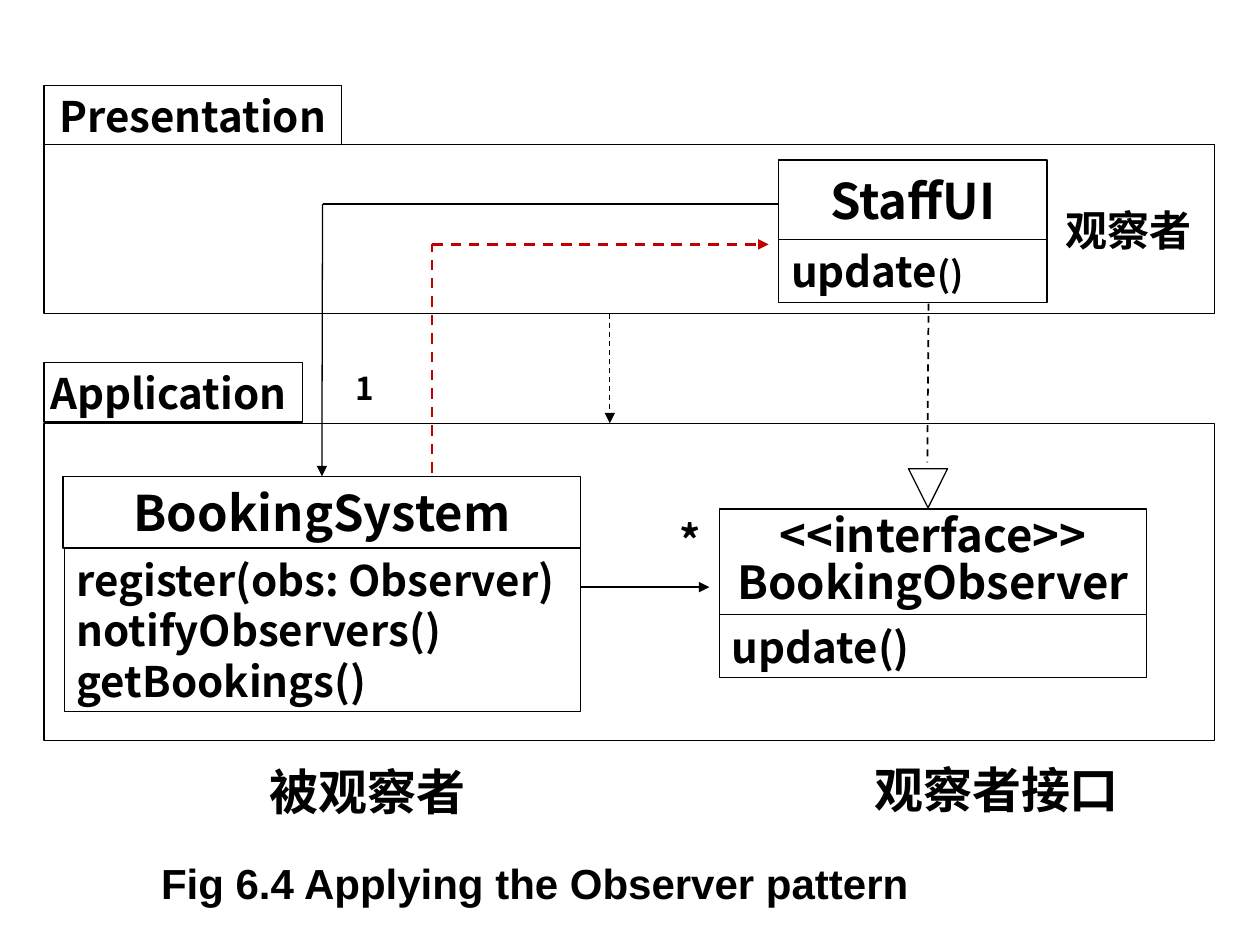
from dataclasses import dataclass
from typing import Optional

from lxml import etree
from pptx import Presentation
from pptx.dml.color import RGBColor
from pptx.enum.dml import MSO_LINE
from pptx.enum.shapes import MSO_CONNECTOR, MSO_SHAPE
from pptx.enum.text import MSO_ANCHOR, PP_ALIGN
from pptx.oxml.ns import qn
from pptx.util import Inches, Pt

RECT = MSO_SHAPE.RECTANGLE
CONE = MSO_SHAPE.ISOSCELES_TRIANGLE
LINE = MSO_CONNECTOR.STRAIGHT
DASH = MSO_LINE.DASH
LEFT, MID = PP_ALIGN.LEFT, PP_ALIGN.CENTER
TOP, CORE = MSO_ANCHOR.TOP, MSO_ANCHOR.MIDDLE
SANS, ARIAL = "Noto Sans CJK SC", "Arial"
BLACK, WHITE, RED = "000000", "FFFFFF", "C00000"


@dataclass
class Box:
    at: tuple
    rows: tuple = ()
    size: float = 24
    align: int = MID
    anchor: int = CORE
    edge: bool = True
    wrap: bool = True
    inset: bool = True
    lead: Optional[float] = None
    tail: str = ""


@dataclass
class Link:
    start: tuple
    end: tuple
    head: bool = False
    dash: bool = False
    color: str = BLACK
    width: float = 0.75


PACKS = [
    Box((0.35, 1.15, 9.29, 1.34)),
    Box((0.35, 0.68, 2.36, 0.47), ("Presentation",), wrap=False),
    Box((0.35, 3.36, 9.29, 2.52)),
    Box((0.35, 2.88, 2.05, 0.47), ("Application ",), wrap=False),
    Box((5.71, 4.04, 3.39, 0.84), ("<<interface>>", "BookingObserver"), 26, lead=0.85),
    Box((5.71, 4.88, 3.39, 0.5), ("update()",), align=LEFT, anchor=TOP),
]
CALL = Link((2.56, 1.62), (2.56, 3.78), head=True)
LINKS = [
    Link((2.56, 1.62), (6.34, 1.62)),
    Link((4.84, 2.49), (4.84, 3.36), head=True, dash=True),
    Link((7.37, 2.41), (7.36, 3.67), dash=True, width=1),
    Link((3.98, 4.66), (5.63, 4.66), head=True),
]
LABELS = [
    Box((2.72, 2.88, 0.39, 0.4), ("1",), 18, LEFT, TOP, edge=False),
    Box((5.39, 4.08, 0.16, 0.4), ("*",), 24, LEFT, TOP, edge=False, inset=False),
    Box((6.73, 6.03, 2.36, 0.47), ("观察者接口",), 28, MID, TOP, edge=False, inset=False),
    Box((8.46, 1.62, 1.02, 0.4), ("观察者",), 24, LEFT, TOP, edge=False, inset=False),
    Box((1.93, 6.04, 1.97, 0.47), ("被观察者",), 28, MID, TOP, edge=False, inset=False),
]
SYSTEM = Box((0.5, 3.78, 4.11, 0.57), ("BookingSystem",), 28)
METHODS = ("register(obs: Observer)", "notifyObservers()", "getBookings()")
PARTS = [
    Box((0.51, 4.35, 4.1, 1.3), METHODS, align=LEFT),
    Box((6.18, 1.27, 2.13, 0.63), ("StaffUI",), 28, wrap=False),
    Box((6.18, 1.9, 2.13, 0.5), ("update",), align=LEFT, anchor=TOP, tail="()"),
]
NOTICES = [
    Link((3.43, 3.75), (3.43, 1.94), dash=True, color=RED, width=1.5),
    Link((3.43, 1.94), (6.1, 1.94), head=True, dash=True, color=RED, width=1.5),
]


def tint(code: str) -> RGBColor:
    return RGBColor.from_string(code)


def add_run(para, text: str, size: float, face: str = SANS) -> None:
    run = para.add_run()
    run.text = text
    font = run.font
    font.name, font.size, font.bold = face, Pt(size), True
    font.color.rgb = tint(BLACK)
    east = etree.SubElement(font._element, qn("a:ea"))
    east.set("typeface", face)


def set_frame(frame, inset: bool, wrap: bool, anchor) -> None:
    frame.word_wrap = wrap
    frame.vertical_anchor = anchor
    frame.margin_left = frame.margin_right = Inches(0.1 if inset else 0)
    frame.margin_top = frame.margin_bottom = Inches(0.05 if inset else 0)


def add_shape(slide, kind, at: tuple, edge: bool = True):
    shape = slide.shapes.add_shape(kind, *map(Inches, at))
    shape.shadow.inherit = False
    shape.fill.solid()
    shape.fill.fore_color.rgb = tint(WHITE)
    if edge:
        shape.line.color.rgb = tint(BLACK)
        shape.line.width = Pt(0.75)
    else:
        shape.line.fill.background()
    return shape


def add_box(slide, box: Box):
    shape = add_shape(slide, RECT, box.at, box.edge)
    frame = shape.text_frame
    set_frame(frame, box.inset, box.wrap, box.anchor)
    for i, row in enumerate(box.rows):
        para = frame.add_paragraph() if i else frame.paragraphs[0]
        para.alignment = box.align
        if box.lead:
            para.line_spacing = box.lead
        add_run(para, row, box.size)
        if box.tail:
            add_run(para, box.tail, 20)
    return shape


def add_link(slide, link: Link):
    ends = map(Inches, link.start + link.end)
    wire = slide.shapes.add_connector(LINE, *ends)
    wire.line.color.rgb = tint(link.color)
    wire.line.width = Pt(link.width)
    if link.dash:
        wire.line.dash_style = DASH
    if link.head:
        tip = etree.SubElement(wire.line._get_or_add_ln(), qn("a:tailEnd"))
        tip.set("type", "triangle")
    etree.SubElement(wire._element.spPr, qn("a:effectLst"))
    return wire


def add_note(slide) -> None:
    note = slide.shapes.add_textbox(*map(Inches, (0.35, 6.76, 7.79, 0.5)))
    set_frame(note.text_frame, True, True, TOP)
    para = note.text_frame.paragraphs[0]
    para.alignment = MID
    add_run(para, "Fig 6.4 Applying the Observer pattern", 24, ARIAL)


def main() -> None:
    deck = Presentation()
    deck.slide_width, deck.slide_height = Inches(10), Inches(7.5)
    slide = deck.slides.add_slide(deck.slide_layouts[6])
    for box in PACKS:
        add_box(slide, box)
    for link in LINKS:
        add_link(slide, link)
    call = add_link(slide, CALL)
    cone = add_shape(slide, CONE, (7.21, 3.72, 0.31, 0.31))
    cone.rotation = 180
    for box in LABELS:
        add_box(slide, box)
    add_note(slide)
    call.end_connect(add_box(slide, SYSTEM), 0)
    for link in NOTICES:
        add_link(slide, link)
    for box in PARTS:
        add_box(slide, box)
    deck.save("out.pptx")


if __name__ == "__main__":
    main()
